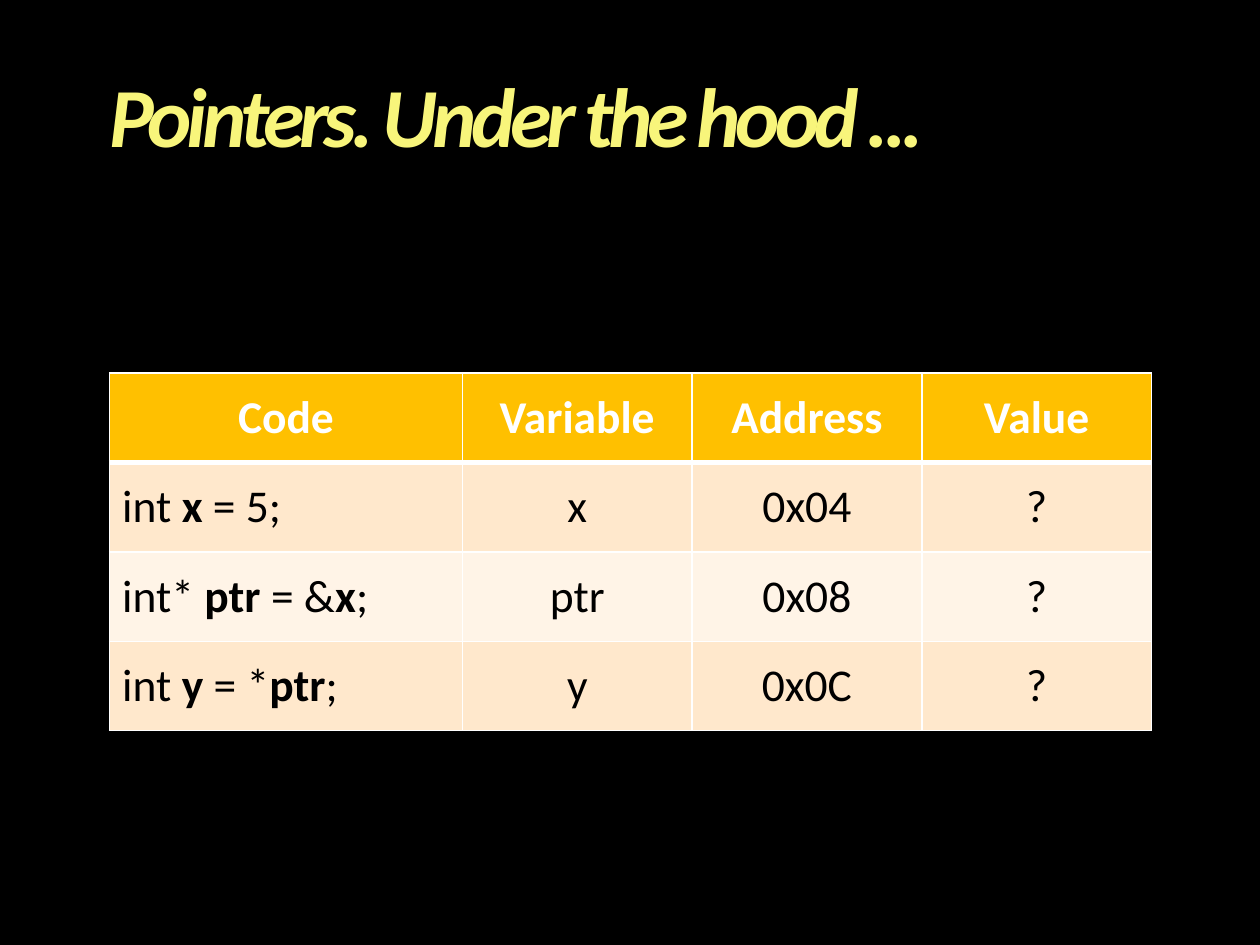
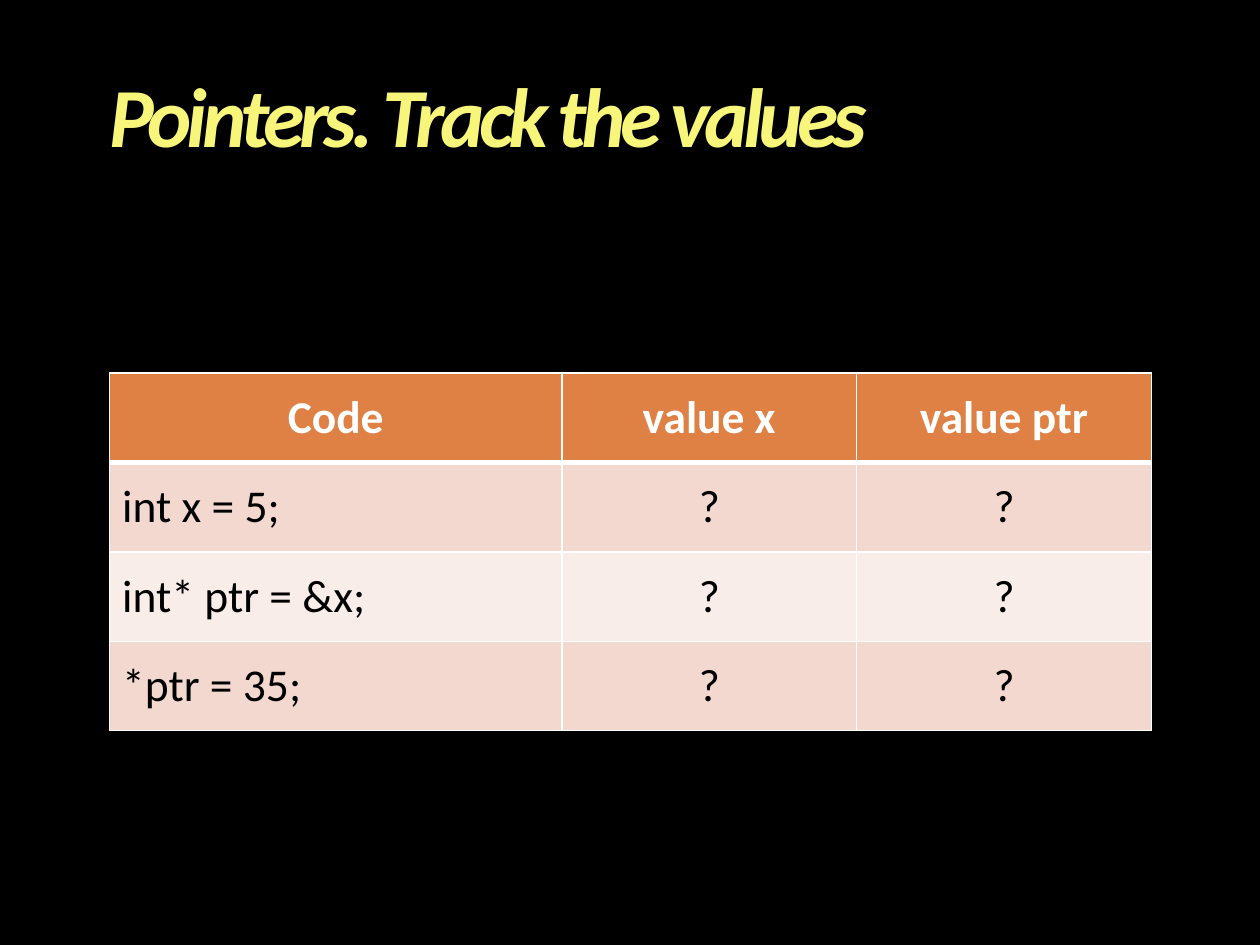
from lxml import etree
from pptx import Presentation
from pptx import util as u
from pptx.dml.color import RGBColor
from pptx.enum import text
from pptx.oxml import ns

WIDE, HIGH = 10, 7.5
FONT = "Calibri"
BLACK, WHITE = "000000", "FFFFFF"
GLOW = [(0, "FFEBD4"), (28, "F8F57B"), (62, "D5B953"), (88, "D1943B")]
LEFT, SPAN = 0.87, 8.27
ROW = 0.71
HEAD_BOX = (LEFT, 0.6, SPAN, ROW)
GRID_BOX = (LEFT, 2.96, SPAN, 4 * ROW)
THIN, THICK = 1, 3


def color(code):
    """Turn a hex string into a colour."""
    return RGBColor.from_string(code)


def sub(parent, tag, **attrs):
    """Append a drawing element to its parent."""
    node = etree.SubElement(parent, ns.qn("a:" + tag))
    for key, val in attrs.items():
        node.set(key, str(val))
    return node


def put(para, words, size, bold):
    """Add one run in the shared font."""
    run = para.add_run()
    run.text = words
    run.font.name, run.font.size, run.font.bold = FONT, u.Pt(size), bold
    return run


def shade(run):
    """Give a run the gradient of the titles."""
    props = run.font._element
    grad = sub(props, "gradFill", rotWithShape=1)
    stops = sub(grad, "gsLst")
    for share, code in GLOW:
        stop = sub(stops, "gs", pos=share * 1000)
        sub(stop, "srgbClr", val=code)
    sub(grad, "lin", ang=90 * 60000, scaled=0)
    props.insert(0, grad)


def head(slide, words, box):
    """Place and format the title."""
    shape = slide.shapes.title
    shape.left, shape.top, shape.width, shape.height = map(u.Inches, box)
    frame = shape.text_frame
    frame.margin_left = frame.margin_right = 0
    frame.margin_top = frame.margin_bottom = 0
    frame.word_wrap = True
    frame.auto_size = text.MSO_AUTO_SIZE.NONE
    frame.vertical_anchor = text.MSO_ANCHOR.MIDDLE
    para = frame.paragraphs[0]
    para.alignment = text.PP_ALIGN.LEFT
    para.line_spacing = 0.9
    sub(sub(para._p.get_or_add_pPr(), "spcBef"), "spcPct", val=20000)
    run = put(para, words, 48, True)
    run.font.italic = True
    run.font._element.set("spc", "-300")
    shade(run)


def edge(cell, row):
    """Draw the cell borders, thick between header and body."""
    props = cell._tc.get_or_add_tcPr()
    sides = {"L": THIN, "R": THIN,
             "T": THICK if row == 1 else THIN,
             "B": THICK if row == 0 else THIN}
    for spot, (side, width) in enumerate(sides.items()):
        line = sub(props, "ln" + side, w=u.Pt(width))
        sub(sub(line, "solidFill"), "srgbClr", val=WHITE)
        props.insert(spot, line)


def fill(cell, words, row, col, tints):
    """Fill one cell; bars in the words switch bold on and off."""
    top = row == 0
    cell.fill.solid()
    cell.fill.fore_color.rgb = color(tints[0] if top else tints[2 - row % 2])
    cell.vertical_anchor = text.MSO_ANCHOR.MIDDLE
    para = cell.text_frame.paragraphs[0]
    mid = top or col > 0
    para.alignment = text.PP_ALIGN.CENTER if mid else text.PP_ALIGN.LEFT
    for turn, part in enumerate(words.split("|")):
        run = put(para, part, 26, top or turn % 2 == 1)
        run.font.color.rgb = color(WHITE if top else BLACK)
    edge(cell, row)


def grid(slide, rows, first, tints, box):
    """Place a table: a wide code column, then equal columns."""
    count = len(rows[0])
    table = slide.shapes.add_table(len(rows), count, *map(u.Inches, box)).table
    rest = (box[2] - first) / (count - 1)
    for col, column in enumerate(table.columns):
        column.width = u.Inches(rest if col else first)
    for line in table.rows:
        line.height = u.Inches(box[3] / len(rows))
    for row, items in enumerate(rows):
        for col, words in enumerate(items):
            fill(table.cell(row, col), words, row, col, tints)


def page(deck, title, rows, first, tints):
    """Add a slide with a title and a table of code."""
    slide = deck.slides.add_slide(deck.slide_layouts[5])
    slide.background.fill.solid()
    slide.background.fill.fore_color.rgb = color(BLACK)
    head(slide, title, HEAD_BOX)
    grid(slide, rows, first, tints, GRID_BOX)


deck = Presentation()
deck.slide_width, deck.slide_height = u.Inches(WIDE), u.Inches(HIGH)

# Tints: header, odd body rows, even body rows.
page(deck, "Pointers. Under the hood ...", [
    ("Code", "Variable", "Address", "Value"),
    ("int |x| = 5;", "x", "0x04", "?"),
    ("int* |ptr| = &|x|;", "ptr", "0x08", "?"),
    ("int |y| = *|ptr|;", "y", "0x0C", "?"),
], 2.8, ("FFC000", "FFE8CC", "FFF4E7"))

page(deck, "Pointers. Track the values", [
    ("Code", "value x", "value ptr"),
    ("int x = 5;", "?", "?"),
    ("int* ptr = &x;", "?", "?"),
    ("*ptr = 35;", "?", "?"),
], 3.59, ("DF8045", "F3D8CF", "F9EDE9"))

deck.save("out.pptx")
